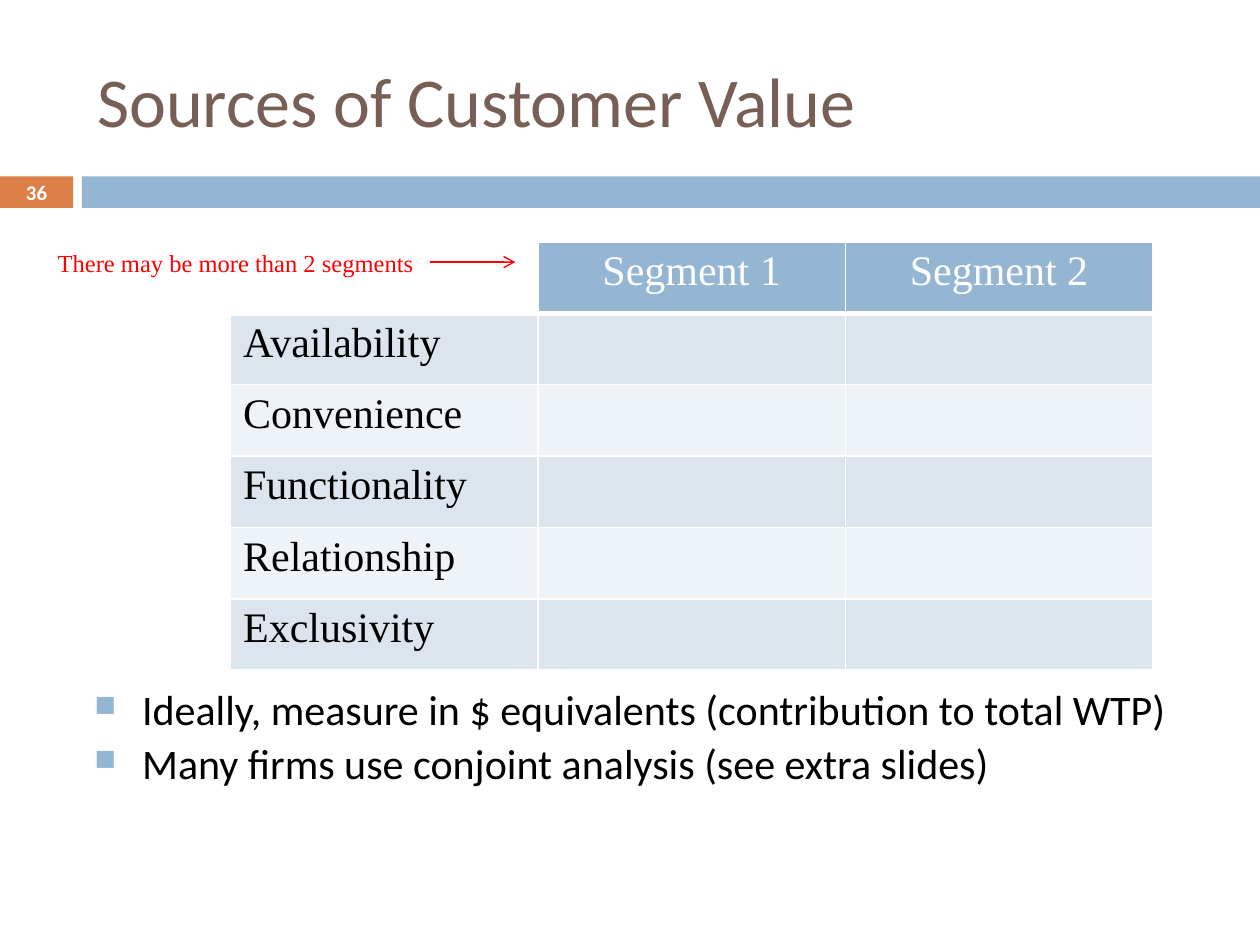
from pptx import Presentation
from pptx.dml.color import RGBColor
from pptx.enum.shapes import MSO_CONNECTOR, MSO_SHAPE
from pptx.enum.text import MSO_ANCHOR, PP_ALIGN
from pptx.oxml.ns import qn
from pptx.util import Inches, Pt
from lxml.etree import SubElement

COLS, ROWS = 100, 75  # slide grid
SANS, SERIF = "Calibri", "Times New Roman"
BLUE, ORANGE, BROWN = "94B6D2", "DD8047", "775F55"
RED, WHITE, BLACK = "FF0000", "FFFFFF", "000000"
BANDS = ("DCE5EE", "EEF3F7")


def rgb(color):
    return RGBColor.from_string(color)


class Deck:
    def __init__(self):
        self.prs = Presentation()
        self.prs.slide_width, self.prs.slide_height = Inches(10), Inches(7.5)
        self.s = self.prs.slides.add_slide(self.prs.slide_layouts[5])

    def x(self, cols):
        return int(self.prs.slide_width * cols / COLS)

    def y(self, rows):
        return int(self.prs.slide_height * rows / ROWS)

    def box(self, left, top, width, height):
        return self.x(left), self.y(top), self.x(width), self.y(height)

    def format(self, p, size, font, color, bold=False, align=PP_ALIGN.LEFT):
        p.alignment = align
        for r in p.runs:
            r.font.size, r.font.name, r.font.bold = Pt(size), font, bold
            r.font.color.rgb = rgb(color)

    def title(self, text, at):
        sp = self.s.shapes.title
        sp.left, sp.top, sp.width, sp.height = self.box(*at)
        tf = sp.text_frame
        tf.text = text
        tf.vertical_anchor = MSO_ANCHOR.MIDDLE
        self.format(tf.paragraphs[0], 40, SANS, BROWN)

    def bar(self, at, color):
        sp = self.s.shapes.add_shape(MSO_SHAPE.RECTANGLE, *self.box(*at))
        sp.shadow.inherit = False
        sp.fill.solid()
        sp.fill.fore_color.rgb = rgb(color)
        sp.line.fill.background()

    def text(self, lines, at, size, font, color, wrap=True,
             anchor=MSO_ANCHOR.TOP, **style):
        tf = self.s.shapes.add_textbox(*self.box(*at)).text_frame
        tf.word_wrap, tf.vertical_anchor = wrap, anchor
        tf.text = "\n".join(lines)
        for p in tf.paragraphs:
            self.format(p, size, font, color, **style)
        return tf

    def bullets(self, lines, at):
        tf = self.text(lines, at, 24, SANS, BLACK)
        for i, p in enumerate(tf.paragraphs):
            pPr = p._p.get_or_add_pPr()
            pPr.set("marL", str(Inches(0.38)))
            pPr.set("indent", str(-Inches(0.38)))
            clr = SubElement(pPr, qn("a:buClr"))
            SubElement(clr, qn("a:srgbClr"), val=BLUE)
            SubElement(pPr, qn("a:buSzPct"), val="70000")
            SubElement(pPr, qn("a:buChar"), char="■")
            p.line_spacing = 0.9
            p.space_before = Pt(5 if i else 0)

    def arrow(self, x1, x2, y, color):
        c = self.s.shapes.add_connector(
            MSO_CONNECTOR.STRAIGHT, self.x(x1), self.y(y), self.x(x2), self.y(y))
        c.line.color.rgb, c.line.width = rgb(color), Pt(0.8)
        SubElement(c.line._get_or_add_ln(), qn("a:tailEnd"), type="arrow")
        SubElement(c._element.spPr, qn("a:effectLst"))

    def borders(self, cell, color, bottom, top):
        tcPr = cell._tc.get_or_add_tcPr()
        for side, width in (("L", 1), ("R", 1), ("T", top), ("B", bottom)):
            ln = SubElement(tcPr, qn(f"a:ln{side}"), w=str(Pt(width)))
            fill = SubElement(ln, qn("a:solidFill"))
            SubElement(fill, qn("a:srgbClr"), val=color)

    def table(self, heads, labels, at):
        rows = [["", *heads]] + [[label] + [""] * len(heads) for label in labels]
        tbl = self.s.shapes.add_table(len(rows), len(rows[0]), *self.box(*at)).table
        for i, row in enumerate(rows):
            for j, text in enumerate(row):
                cell = tbl.cell(i, j)
                self.borders(cell, WHITE, bottom=1 if i else 3, top=3 if i == 1 else 1)
                cell.fill.solid()
                head_fill = BLUE if j else WHITE
                cell.fill.fore_color.rgb = rgb(BANDS[(i - 1) % 2] if i else head_fill)
                cell.text = text
                self.format(cell.text_frame.paragraphs[0], 24, SERIF,
                            BLACK if i else WHITE,
                            align=PP_ALIGN.LEFT if i else PP_ALIGN.CENTER)


def main():
    d = Deck()

    # Title and the divider band with the slide number
    d.bar((0, 14, 5.8, 2.5), ORANGE)
    d.bar((6.5, 14, 93.5, 2.5), BLUE)
    d.title("Sources of Customer Value", (6.7, 2.5, 89.2, 10.8))
    d.text(["36"], (0, 13.9, 5.8, 2.7), 11.9, SANS, WHITE,
           anchor=MSO_ANCHOR.MIDDLE, bold=True, align=PP_ALIGN.CENTER)

    # Value sources by segment
    d.table(["Segment 1", "Segment 2"],
            ["Availability", "Convenience", "Functionality", "Relationship",
             "Exclusivity"], (18.3, 19.2, 73.2, 34))

    # Remark pointing at the segments
    d.text(["There may be more than 2 segments"], (3.6, 19.2, 30.5, 3.4),
           14, SERIF, RED, wrap=False)
    d.arrow(34.1, 40.9, 20.8, RED)

    # Advice on measuring
    d.bullets(["Ideally, measure in $ equivalents (contribution to total WTP)",
               "Many firms use conjoint analysis (see extra slides)"],
              (6.5, 54.2, 87, 12.5))

    d.prs.save("out.pptx")


if __name__ == "__main__":
    main()
